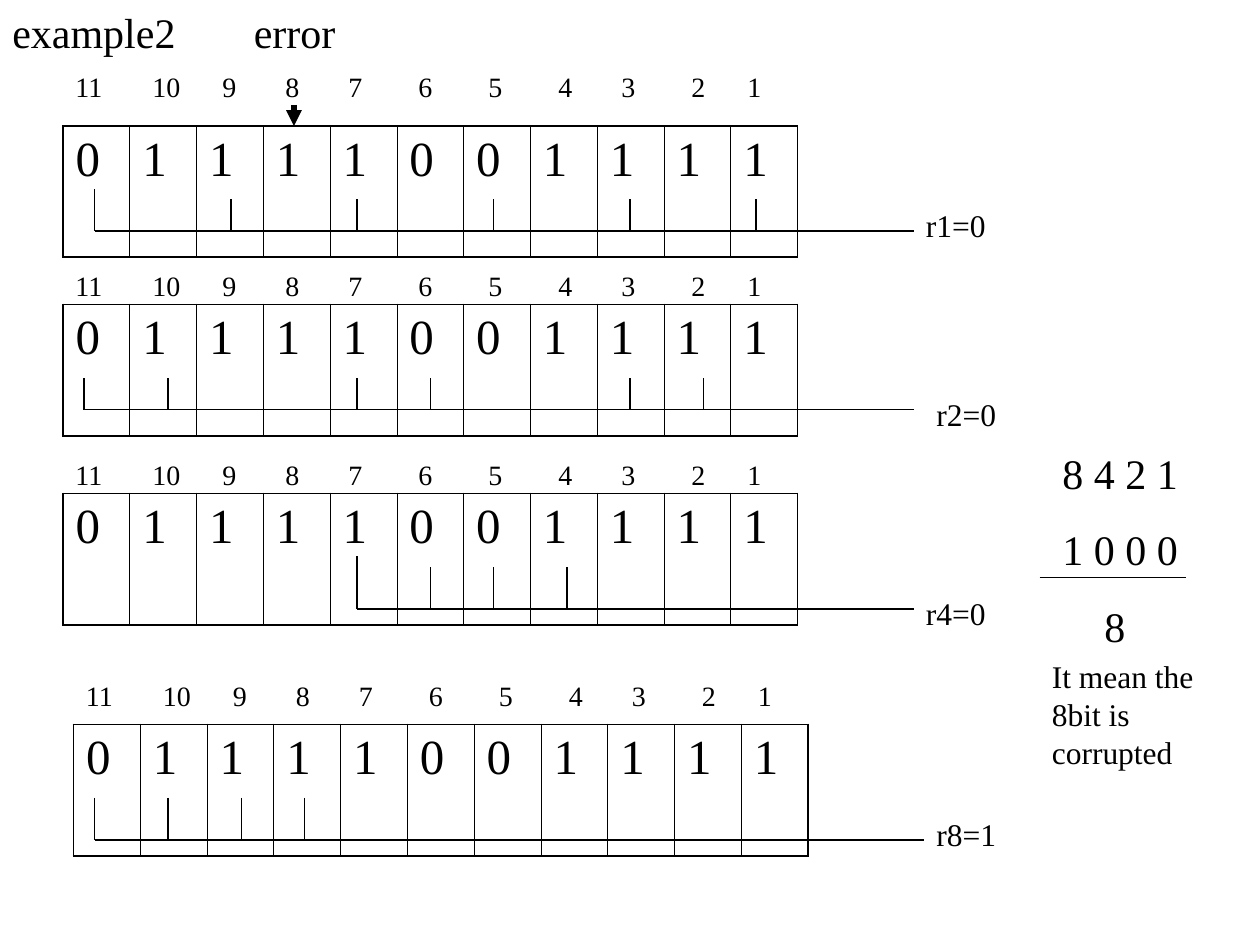
from lxml import etree
from pptx import Presentation
from pptx.dml.color import RGBColor
from pptx.enum.shapes import MSO_CONNECTOR
from pptx.enum.text import MSO_AUTO_SIZE
from pptx.oxml.ns import qn
from pptx.util import Pt

STRAIGHT = MSO_CONNECTOR.STRAIGHT
GROW = MSO_AUTO_SIZE.SHAPE_TO_FIT_TEXT
COLORS = {"ink": "000000", "paper": "FFFFFF"}
FONT = "Times New Roman"

BITS = "01111001111"
POSITIONS = "\t".join(str(n) for n in range(11, 0, -1))
POSITION_TABS = [44, 84, 120, 156, 196, 236, 276, 312, 352, 384]
TABLE_W, ROW_H = 420, 75

# left, numbers top, table top, bus y, tap top, first tap top, tap xs, result, result left, result top
CHECKS = [
    (36, 36, 72, 132, 114, 108, [54, 132, 204, 282, 360, 432], "r1=0", 522, 114),
    (36, 150, 174, 234, 216, 216, [48, 96, 204, 246, 360, 402], "r2=0", 528, 222),
    (36, 258, 282, 348, 324, 318, [204, 246, 282, 324], "r4=0", 522, 336),
    (42, 384, 414, 480, 456, 456, [54, 96, 138, 174], "r8=1", 528, 462),
]


class Board:
    def __init__(self, prs):
        self.s = prs.slides.add_slide(prs.slide_layouts[6])
        self.s.background.fill.solid()
        self.s.background.fill.fore_color.rgb = RGBColor.from_string(COLORS["paper"])
        self.ink = RGBColor.from_string(COLORS["ink"])

    def run(self, p, text, size, before):
        p.space_before = Pt(before)
        r = p.add_run()
        r.text = text
        r.font.size = Pt(size)
        r.font.name = FONT
        r.font.color.rgb = self.ink

    def text(self, x, y, w, h, lines, size, before, tabs=()):
        tf = self.s.shapes.add_textbox(Pt(x), Pt(y), Pt(w), Pt(h)).text_frame
        tf.word_wrap = True
        tf.auto_size = GROW
        for i, line in enumerate(lines):
            p = tf.add_paragraph() if i else tf.paragraphs[0]
            self.run(p, line, size, before)
        if tabs:
            tab_list = etree.SubElement(tf.paragraphs[0]._p.get_or_add_pPr(), qn("a:tabLst"))
            for pos in tabs:
                etree.SubElement(tab_list, qn("a:tab"), pos=str(Pt(pos)), algn="l")
        return tf

    def line(self, x1, y1, x2, y2, width=0.75, arrow=False):
        c = self.s.shapes.add_connector(STRAIGHT, Pt(x1), Pt(y1), Pt(x2), Pt(y2))
        c.line.width = Pt(width)
        c.line.color.rgb = self.ink
        spPr = c._element.spPr
        if arrow:
            etree.SubElement(spPr.find(qn("a:ln")), qn("a:tailEnd"), type="triangle")
        etree.SubElement(spPr, qn("a:effectLst"))

    def border(self, cell, widths):
        tcPr = cell._tc.get_or_add_tcPr()
        for i, (side, width) in enumerate(zip("LRTB", widths)):
            ln = etree.Element(qn("a:ln" + side), w=str(Pt(width)))
            fill = etree.SubElement(ln, qn("a:solidFill"))
            etree.SubElement(fill, qn("a:srgbClr"), val=COLORS["ink"])
            tcPr.insert(i, ln)

    def bit_table(self, x, y):
        frame = self.s.shapes.add_table(1, len(BITS), Pt(x), Pt(y), Pt(TABLE_W), Pt(ROW_H))
        table = frame.table
        table.first_row = table.horz_banding = False
        last = len(BITS) - 1
        for i, bit in enumerate(BITS):
            table.columns[i].width = Pt(TABLE_W / len(BITS))
            cell = table.cell(0, i)
            cell.fill.background()
            cell.margin_left = cell.margin_right = Pt(7.2)
            cell.margin_top = cell.margin_bottom = Pt(3.6)
            self.run(cell.text_frame.paragraphs[0], bit, 28, 7)
            left = 1.08 if i == 0 else 0.45
            right = 1.08 if i == last else 0.45
            self.border(cell, (left, right, 1.08, 1.08))


def main():
    prs = Presentation()
    prs.slide_width, prs.slide_height = Pt(720), Pt(540)
    b = Board(prs)

    # Title and error marker
    b.text(0, 0, 114, 36, ["example2"], 24, 15)
    b.text(138, 0, 66, 36, ["error"], 24, 15)
    b.line(168, 60, 168, 72, 3, arrow=True)

    # Parity checks: numbered bits, the taps that are summed, the result
    for left, num_y, top, bus_y, tap_y, first_y, taps, result, res_x, res_y in CHECKS:
        b.bit_table(left, top)
        b.text(left, num_y, TABLE_W, 26.6, [POSITIONS], 16, 10, POSITION_TABS)
        b.line(taps[0], bus_y, res_x if left > 36 else 522, bus_y)
        for i, x in enumerate(taps):
            b.line(x, tap_y if i else first_y, x, bus_y)
        b.text(res_x, res_y, 156, 29, [result], 18, 11.2)

    # Position of the corrupted bit
    tf = b.text(600, 252, 108, 124, ["8 4 2 1", "1 0 0 0", "8"], 24, 15)
    tf.paragraphs[2]._p.get_or_add_pPr().set("marL", str(Pt(24)))
    b.line(594, 330, 678, 330)
    b.text(594, 372, 114, 72, ["It mean the 8bit is corrupted"], 18, 11.2)

    prs.save("out.pptx")


if __name__ == "__main__":
    main()
